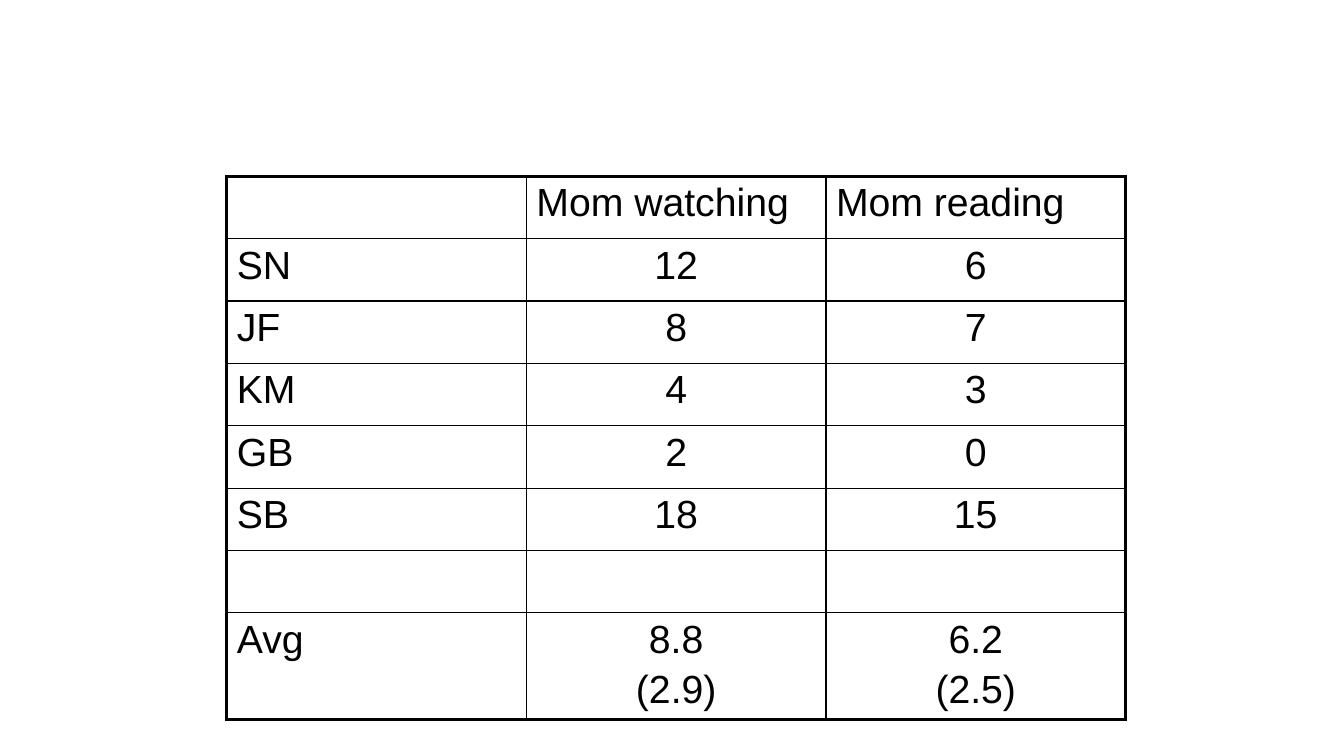
from lxml import etree
from pptx import Presentation
from pptx.dml.color import RGBColor
from pptx.enum import text
from pptx.oxml import ns
from pptx.util import Pt

HUES = {"ink": "000000"}
ROWS = [
    ("", "Mom watching", "Mom reading"),
    ("SN", "12", "6"),
    ("JF", "8", "7"),
    ("KM", "4", "3"),
    ("GB", "2", "0"),
    ("SB", "18", "15"),
    ("", "", ""),
    ("Avg", "8.8\n(2.9)", "6.2\n(2.5)"),
]
WIDTH, HIGH, LAST = 214, 44.55, 76
THICK, THIN = 2.25, 1


def add_edge(cell, side, width):
    props = cell._tc.get_or_add_tcPr()
    line = etree.SubElement(props, ns.qn(f"a:ln{side}"), w=str(Pt(width)))
    fill = etree.SubElement(line, ns.qn("a:solidFill"))
    etree.SubElement(fill, ns.qn("a:srgbClr"), val=HUES["ink"])


deck = Presentation()
deck.slide_width, deck.slide_height = Pt(960), Pt(540)
slide = deck.slides.add_slide(deck.slide_layouts[6])

count, wide = len(ROWS), len(ROWS[0])
frame = slide.shapes.add_table(
    count, wide, Pt(162), Pt(126),
    Pt(wide * WIDTH), Pt((count - 1) * HIGH + LAST))
table = frame.table
table.first_row = table.horz_banding = False
for col in table.columns:
    col.width = Pt(WIDTH)
for row in table.rows:
    row.height = Pt(HIGH)
table.rows[count - 1].height = Pt(LAST)

for i, row in enumerate(ROWS):
    for j, words in enumerate(row):
        cell = table.cell(i, j)
        outer = {"L": j == 0, "R": j == wide - 1,
                 "T": i == 0, "B": i == count - 1}
        for side, rim in outer.items():
            add_edge(cell, side, THICK if rim else THIN)
        cell.fill.background()
        if not words:
            continue
        for k, part in enumerate(words.split("\n")):
            body = cell.text_frame
            para = body.add_paragraph() if k else body.paragraphs[0]
            if k:
                para.space_before = Pt(4.3)
            if i and j:
                para.alignment = text.PP_ALIGN.CENTER
            run = para.add_run()
            run.text = part
            run.font.name = "Arial"
            run.font.size = Pt(28)
            run.font.color.rgb = RGBColor.from_string(HUES["ink"])

deck.save("out.pptx")
